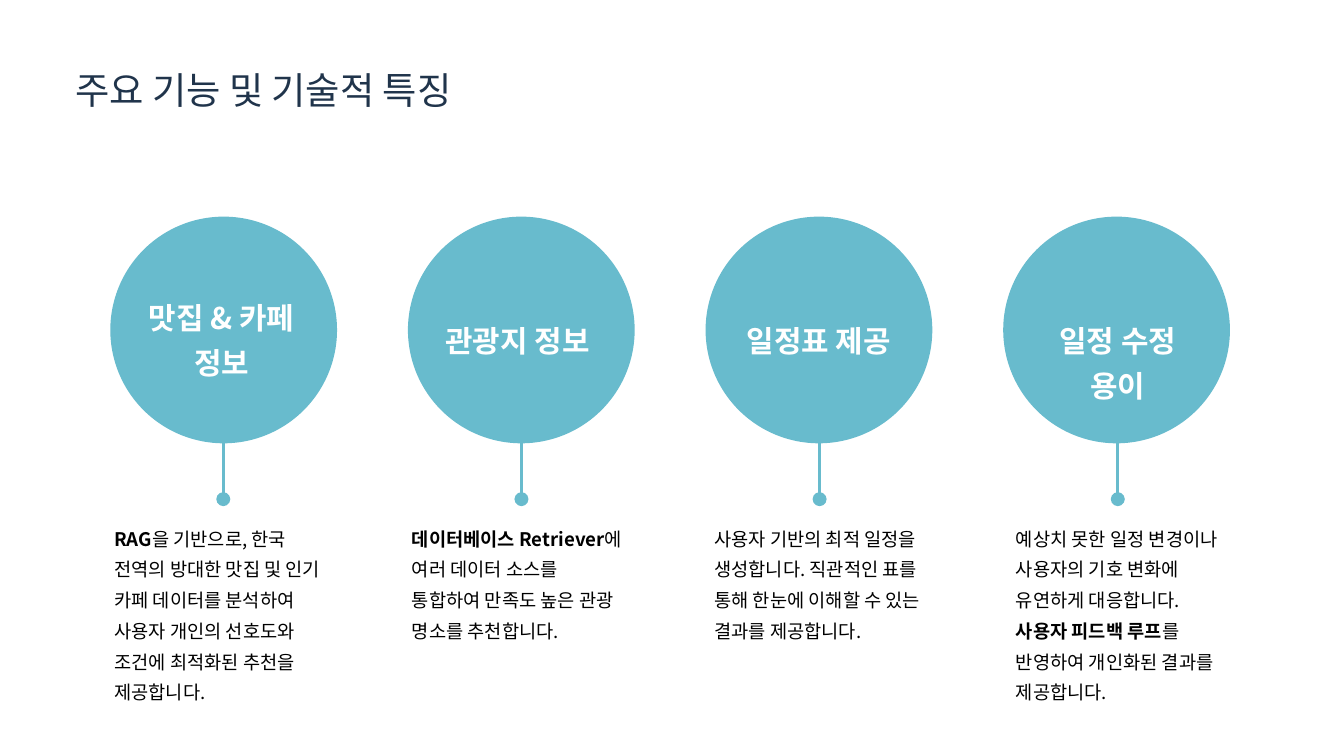
"""Build the slide of four key features, each a labelled circle above a description."""
import pptx
import pptx.dml.color
import pptx.enum.shapes
import pptx.enum.text
import pptx.oxml
import pptx.oxml.ns
import pptx.util
from pptx.util import Cm

TEAL = pptx.dml.color.RGBColor(0x68, 0xBB, 0xCD)
NAVY = pptx.dml.color.RGBColor(0x20, 0x34, 0x4B)
BLACK = pptx.dml.color.RGBColor(0, 0, 0)
WHITE = pptx.dml.color.RGBColor(0xFF, 0xFF, 0xFF)
LEFT = pptx.enum.text.PP_ALIGN.LEFT
CENTER = pptx.enum.text.PP_ALIGN.CENTER

TITLE = {"font": "Noto Sans CJK KR", "size": 40, "color": NAVY, "line": 55.9, "align": LEFT}
LABEL = {"font": "Noto Sans CJK SC", "size": 32, "color": WHITE, "line": 48, "align": CENTER, "spacing": "-1"}
BODY = {"font": "Noto Sans CJK KR", "size": 20, "color": BLACK, "line": 32.9, "align": LEFT}


def add_child(parent, tag, **attributes):
    child = pptx.oxml.parse_xml(f"<a:{tag} {pptx.oxml.ns.nsdecls('a')}/>")
    for name, value in attributes.items():
        child.set(name, value)
    parent.append(child)


def add_text(left, top, width, height, style, runs):
    box = slide.shapes.add_textbox(Cm(left), Cm(top), Cm(width), Cm(height))
    frame_format = {
        "margin_left": 0, "margin_top": 0, "margin_right": 0, "margin_bottom": 0,
        "word_wrap": True,
        "auto_size": pptx.enum.text.MSO_AUTO_SIZE.SHAPE_TO_FIT_TEXT,
    }
    for name, value in frame_format.items():
        setattr(box.text_frame, name, value)
    paragraph = box.text_frame.paragraphs[0]
    paragraph.alignment = style["align"]
    paragraph.line_spacing = pptx.util.Pt(style["line"])
    for text, bold in runs:
        run = paragraph.add_run()
        run.text = text
        font_format = {"name": style["font"], "size": pptx.util.Pt(style["size"]), "bold": bold}
        for name, value in font_format.items():
            setattr(run.font, name, value)
        run.font.color.rgb = style["color"]
        properties = run._r.get_or_add_rPr()
        if "spacing" in style:
            properties.set("spc", style["spacing"])
        add_child(properties, "ea", typeface=style["font"])


presentation = pptx.Presentation()
presentation.slide_width = Cm(50.8)
presentation.slide_height = Cm(28.58)
slide = presentation.slides.add_slide(presentation.slide_layouts[6])

add_text(2.84, 2.26, 37.08, 1.93, TITLE, [("주요 기능 및 기술적 특징", False)])

features = [
    {
        "label": "맛집 & 카페 정보", "label_box": (5.11, 11, 6.53, 3.43),
        "body_box": (4.32, 19.63, 8.23, 7.06),
        "body": [
            ("RAG", True),
            ("을 기반으로, 한국 전역의 방대한 맛집 및 인기 카페 데이터를 분석하여 "
             "사용자 개인의 선호도와 조건에 최적화된 추천을 제공합니다.", False),
        ],
    },
    {
        "label": "관광지 정보 ", "label_box": (16.43, 11.86, 6.53, 1.7),
        "body_box": (15.57, 19.63, 8.23, 4.7),
        "body": [
            ("데이터베이스 Retriever", True),
            ("에 여러 데이터 소스를 통합하여 만족도 높은 관광 명소를 추천합니다.", False),
        ],
    },
    {
        "label": "일정표 제공", "label_box": (27.69, 11.86, 6.53, 1.6),
        "body_box": (27, 19.63, 8.23, 4.7),
        "body": [
            ("사용자 기반의 최적 일정을 생성합니다. 직관적인 표를 통해 "
             "한눈에 이해할 수 있는 결과를 제공합니다.", False),
        ],
    },
    {
        "label": "일정 수정 용이", "label_box": (38.99, 11.86, 6.53, 1.7),
        "body_box": (38.4, 19.63, 8.23, 6.96),
        "body": [
            ("예상치 못한 일정 변경이나 사용자의 기호 변화에 유연하게 대응합니다. ", False),
            ("사용자 피드백 루프", True),
            ("를 반영하여 개인화된 결과를 제공합니다.", False),
        ],
    },
]

for index, feature in enumerate(features):
    group = slide.shapes.add_group_shape()
    circle = group.shapes.add_shape(
        pptx.enum.shapes.MSO_SHAPE.OVAL,
        Cm(4.17 + 11.25 * index), Cm(8.19), Cm(8.57), Cm(8.57))
    circle.shadow.inherit = False
    circle.fill.solid()
    circle.fill.fore_color.rgb = TEAL
    circle.line.fill.background()

    stem_x = Cm(8.44 + 11.27 * index)
    stem = group.shapes.add_connector(
        pptx.enum.shapes.MSO_CONNECTOR.STRAIGHT, stem_x, Cm(16.76), stem_x, Cm(18.87))
    stem.line.color.rgb = TEAL
    stem.line.width = pptx.util.Pt(3)
    add_child(stem.line._get_or_add_ln(), "tailEnd", type="oval", w="lg", len="lg")
    add_child(stem._element.spPr, "effectLst")

    add_text(*feature["label_box"], LABEL, [(feature["label"], True)])
    add_text(*feature["body_box"], BODY, feature["body"])

presentation.save("out.pptx")
